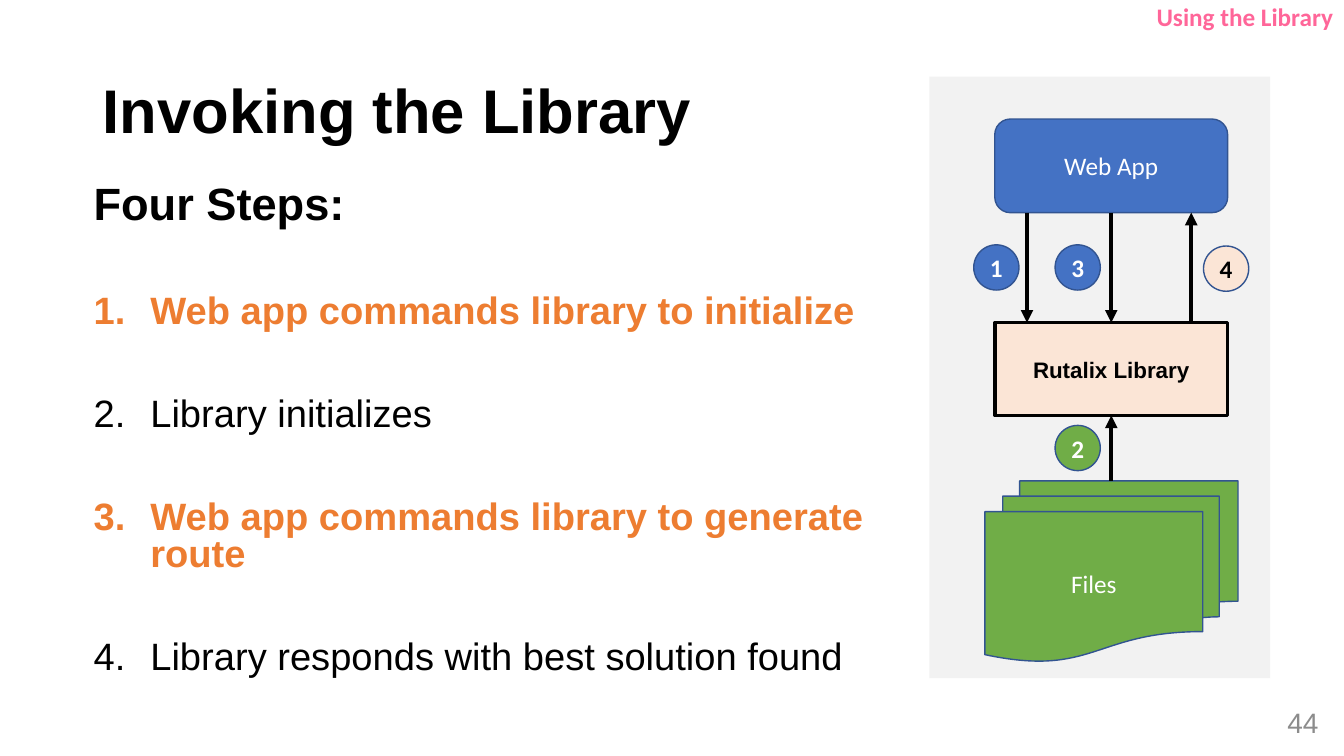
from dataclasses import dataclass

from lxml import etree
from pptx import Presentation
from pptx.dml.color import RGBColor
from pptx.enum.shapes import MSO_CONNECTOR, MSO_SHAPE
from pptx.enum.text import MSO_ANCHOR, MSO_AUTO_SIZE, PP_ALIGN
from pptx.oxml.ns import qn
from pptx.shapes.autoshape import Shape
from pptx.shapes.connector import Connector
from pptx.slide import Slide
from pptx.text.text import TextFrame
from pptx.util import Cm, Pt

RECTANGLE = MSO_SHAPE.RECTANGLE
ROUNDED = MSO_SHAPE.ROUNDED_RECTANGLE
DOCUMENTS = MSO_SHAPE.FLOWCHART_MULTIDOCUMENT
OVAL = MSO_SHAPE.OVAL
STRAIGHT = MSO_CONNECTOR.STRAIGHT
TOP, MIDDLE = MSO_ANCHOR.TOP, MSO_ANCHOR.MIDDLE
LEFT, CENTER, RIGHT = PP_ALIGN.LEFT, PP_ALIGN.CENTER, PP_ALIGN.RIGHT
FIXED_SIZE = MSO_AUTO_SIZE.NONE
TOP_SIDE, BOTTOM_SIDE = 0, 2


@dataclass(frozen=True)
class Theme:
    heading_font: str = "Arial"
    label_font: str = "Calibri"
    black: str = "000000"
    white: str = "FFFFFF"
    orange: str = "ED7D31"
    pink: str = "FF6699"
    gray: str = "8C8C8C"
    panel: str = "F2F2F2"
    blue: str = "4472C4"
    green: str = "70AD47"
    peach: str = "FBE5D6"
    outline: str = "325491"
    title_size: float = 44
    lead_size: float = 32.3
    step_size: float = 27.2
    page_size: float = 20
    label_size: float = 18
    library_size: float = 16


THEME = Theme()


@dataclass(frozen=True)
class Box:
    left: float
    top: float
    width: float
    height: float

    def lengths(self) -> tuple[Cm, Cm, Cm, Cm]:
        return Cm(self.left), Cm(self.top), Cm(self.width), Cm(self.height)

    @property
    def bottom(self) -> float:
        return self.top + self.height

    @property
    def center(self) -> float:
        return self.left + self.width / 2


@dataclass(frozen=True)
class Step:
    text: str
    by_web_app: bool


@dataclass(frozen=True)
class Badge:
    number: str
    left: float
    top: float
    fill: str
    color: str = THEME.white


PANEL = Box(23.42, 1.93, 8.59, 15.16)
WEB_APP = Box(25.07, 3, 5.87, 2.36)
LIBRARY = Box(25.07, 8.13, 5.87, 2.34)
FILES = Box(24.82, 12.12, 6.38, 4.55)
BADGE_SIZE = 1.14
STEP_INDENT = Cm(1.43)

STEPS = [
    Step("Web app commands library to initialize", True),
    Step("Library initializes", False),
    Step("Web app commands library to generate route", True),
    Step("Library responds with best solution found", False),
]
BADGES = [
    Badge("1", 24.54, 6.17, THEME.blue),
    Badge("2", 26.59, 10.72, THEME.green),
    Badge("3", 26.59, 6.17, THEME.blue),
    Badge("4", 30.33, 6.2, THEME.peach, THEME.black),
]


def write(frame: TextFrame, text: str, *, size: float = THEME.label_size,
          color: str = THEME.white, font: str = THEME.label_font, bold: bool = False,
          align: PP_ALIGN = CENTER, anchor: MSO_ANCHOR = MIDDLE, spacing: float = 1.0,
          before: float = 0, after: float = 0, numbered: bool = False) -> None:
    frame.word_wrap = True
    frame.auto_size = FIXED_SIZE
    frame.vertical_anchor = anchor
    paragraph = frame.add_paragraph() if frame.text else frame.paragraphs[0]
    if numbered:
        properties = paragraph._p.get_or_add_pPr()
        properties.set("marL", str(STEP_INDENT))
        properties.set("indent", str(-STEP_INDENT))
        etree.SubElement(properties, qn("a:buFont"), typeface="+mj-lt")
        etree.SubElement(properties, qn("a:buAutoNum"), type="arabicPeriod")
    paragraph.alignment = align
    paragraph.line_spacing = spacing
    paragraph.space_before = Pt(before)
    paragraph.space_after = Pt(after)
    run = paragraph.add_run()
    run.text = text
    run.font.name = font
    run.font.size = Pt(size)
    run.font.bold = bold
    run.font.color.rgb = RGBColor.from_string(color)


def add_block(slide: Slide, kind: MSO_SHAPE, box: Box, fill: str,
              outline: str | None = THEME.outline, weight: float = 1) -> Shape:
    block = slide.shapes.add_shape(kind, *box.lengths())
    block.shadow.inherit = False
    block.fill.solid()
    block.fill.fore_color.rgb = RGBColor.from_string(fill)
    if outline is None:
        block.line.fill.background()
    else:
        block.line.color.rgb = RGBColor.from_string(outline)
        block.line.width = Pt(weight)
    return block


def add_arrow(slide: Slide, x: float, start: float, end: float) -> Connector:
    arrow = slide.shapes.add_connector(STRAIGHT, Cm(x), Cm(start), Cm(x), Cm(end))
    arrow.line.color.rgb = RGBColor.from_string(THEME.black)
    arrow.line.width = Pt(3)
    etree.SubElement(arrow.line._get_or_add_ln(), qn("a:tailEnd"), type="triangle")
    etree.SubElement(arrow._element.spPr, qn("a:effectLst"))
    return arrow


def add_text(slide: Slide, box: Box) -> TextFrame:
    return slide.shapes.add_textbox(*box.lengths()).text_frame


def add_steps(slide: Slide) -> None:
    steps = add_text(slide, Box(2.11, 4.55, 21.06, 12.85))
    write(steps, "Four Steps:", size=THEME.lead_size, color=THEME.black,
          font=THEME.heading_font, bold=True, align=LEFT, anchor=TOP, spacing=0.8)
    for step in STEPS:
        write(steps, step.text, size=THEME.step_size,
              color=THEME.orange if step.by_web_app else THEME.black,
              font=THEME.heading_font, bold=step.by_web_app, align=LEFT,
              anchor=TOP, spacing=0.8, before=47.5, numbered=True)


def add_diagram(slide: Slide) -> None:
    add_block(slide, RECTANGLE, PANEL, THEME.panel, None)
    library = add_block(slide, RECTANGLE, LIBRARY, THEME.peach, THEME.black, 2.5)
    write(library.text_frame, "Rutalix Library", size=THEME.library_size,
          color=THEME.black, font=THEME.heading_font, bold=True, spacing=1.06, after=8)
    web_app = add_block(slide, ROUNDED, WEB_APP, THEME.blue)
    write(web_app.text_frame, "Web App")
    files = add_block(slide, DOCUMENTS, FILES, THEME.green)
    write(files.text_frame, "Files")

    load = add_arrow(slide, LIBRARY.center, FILES.top, LIBRARY.bottom)
    load.end_connect(library, BOTTOM_SIDE)
    add_arrow(slide, 30.02, LIBRARY.top, WEB_APP.bottom)
    add_arrow(slide, 25.88, WEB_APP.bottom, LIBRARY.top)
    generate = add_arrow(slide, LIBRARY.center, WEB_APP.bottom, LIBRARY.top)
    generate.begin_connect(web_app, BOTTOM_SIDE)
    generate.end_connect(library, TOP_SIDE)

    for badge in BADGES:
        place = Box(badge.left, badge.top, BADGE_SIZE, BADGE_SIZE)
        label = add_block(slide, OVAL, place, badge.fill).text_frame
        label.margin_left = label.margin_right = Cm(0)
        label.margin_top = label.margin_bottom = Cm(0)
        write(label, badge.number, color=badge.color, bold=True)


def main() -> None:
    deck = Presentation()
    deck.slide_width, deck.slide_height = Cm(33.87), Cm(19.05)
    slide = deck.slides.add_slide(deck.slide_layouts[5])
    title = slide.shapes.title
    title.left, title.top, title.width, title.height = Box(2.34, 1.02, 29.21, 3.68).lengths()
    write(title.text_frame, "Invoking the Library", size=THEME.title_size,
          color=THEME.black, font=THEME.heading_font, bold=True, align=LEFT, spacing=0.9)
    add_steps(slide)
    write(add_text(slide, Box(25.86, 17.68, 7.62, 1.02)), "44", size=THEME.page_size,
          color=THEME.gray, font=THEME.heading_font, align=RIGHT)
    write(add_text(slide, Box(28.57, -0.1, 5.28, 1.02)), "Using the Library",
          color=THEME.pink, bold=True, align=RIGHT, anchor=TOP)
    add_diagram(slide)
    deck.save("out.pptx")


if __name__ == "__main__":
    main()
